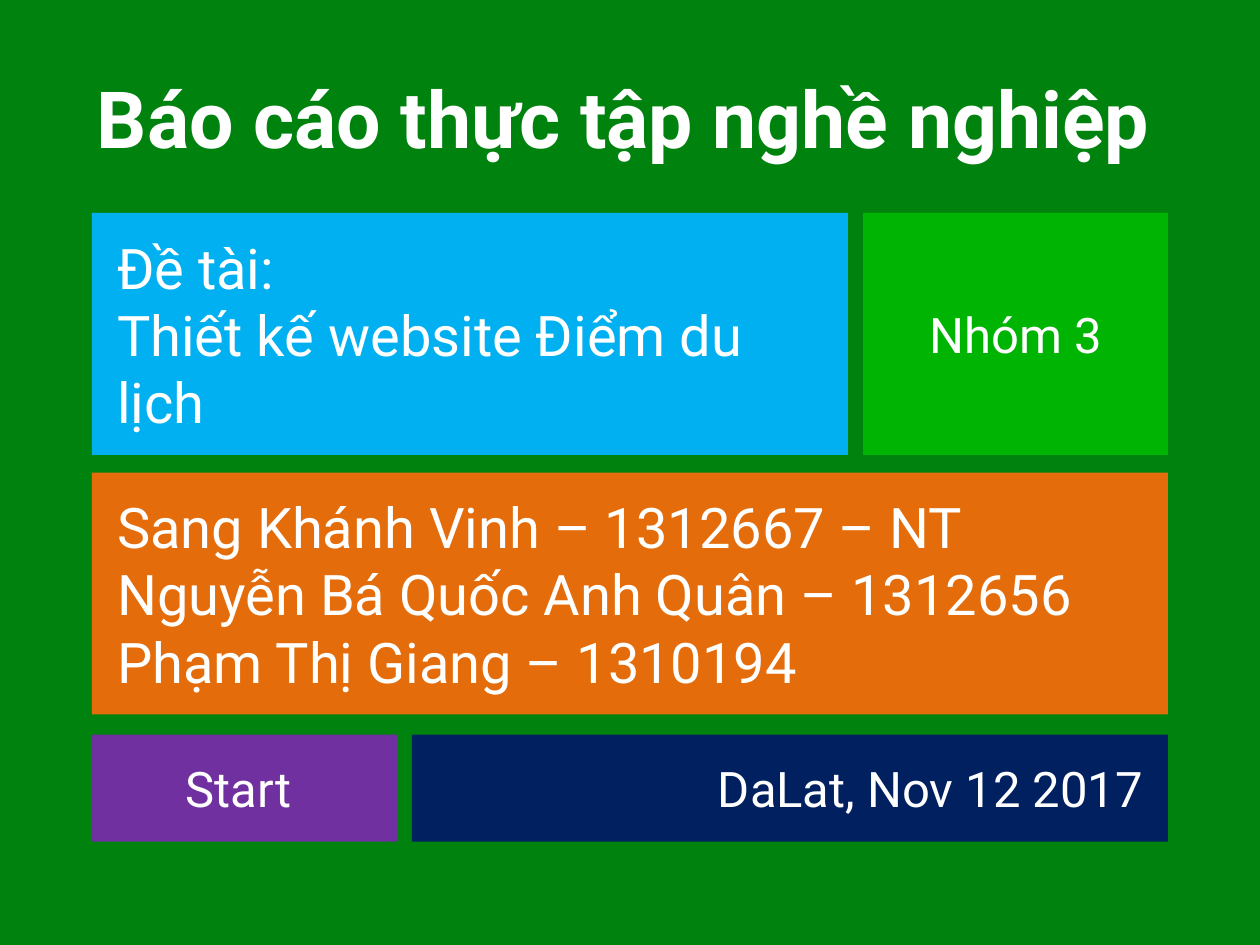
import pptx
import pptx.util
import pptx.dml.color
import pptx.enum.shapes
import pptx.enum.text

Inches = pptx.util.Inches
RGBColor = pptx.dml.color.RGBColor
Align = pptx.enum.text.PP_ALIGN

FONT = "Roboto"
WHITE = RGBColor(0xFF, 0xFF, 0xFF)
DARK_GREEN = RGBColor(0x00, 0x82, 0x0F)
GREEN = RGBColor(0x00, 0xB4, 0x04)
BLUE = RGBColor(0x00, 0xB0, 0xF0)
ORANGE = RGBColor(0xE4, 0x6C, 0x0A)
PURPLE = RGBColor(0x70, 0x30, 0xA0)
NAVY = RGBColor(0x00, 0x20, 0x60)

# Tile grid in inches: a wide and a narrow column, in either order
LEFT, GAP = 0.73, 0.12
WIDE, NARROW = 6, 2.42
FULL = WIDE + GAP + NARROW
ROWS = [(1.69, 1.92), (3.75, 1.92), (5.83, 0.85)]  # top, height


def write_text(s, lines, size=28, bold=False, align=Align.LEFT, inset=0.2):
    """Fill a shape with white text, one paragraph per line."""
    tf = s.text_frame
    tf.word_wrap = True
    tf.vertical_anchor = pptx.enum.text.MSO_ANCHOR.MIDDLE
    tf.margin_left = tf.margin_right = Inches(inset)
    tf.margin_top = tf.margin_bottom = Inches(inset)
    for i, line in enumerate(lines):
        p = tf.paragraphs[0] if i == 0 else tf.add_paragraph()
        p.alignment = align
        r = p.add_run()
        r.text = line
        r.font.name = FONT
        r.font.size = pptx.util.Pt(size)
        r.font.bold = bold
        r.font.color.rgb = WHITE


def add_title(slide, text):
    s = slide.shapes.add_textbox(Inches(0.67), Inches(0.3), Inches(8.67), Inches(1.25))
    write_text(s, [text], size=45, bold=True, inset=0.1)


def add_tile(slide, row, x, width, color, lines, **text_format):
    """Add a coloured tile in a grid row, x inches from the grid's left edge."""
    top, height = ROWS[row]
    s = slide.shapes.add_shape(
        pptx.enum.shapes.MSO_SHAPE.RECTANGLE,
        Inches(LEFT + x), Inches(top), Inches(width), Inches(height))
    s.shadow.inherit = False
    s.fill.solid()
    s.fill.fore_color.rgb = color
    s.line.fill.background()
    write_text(s, lines, **text_format)


def main():
    prs = pptx.Presentation()
    prs.slide_width, prs.slide_height = Inches(10), Inches(7.5)
    slide = prs.slides.add_slide(prs.slide_layouts[6])
    slide.background.fill.solid()
    slide.background.fill.fore_color.rgb = DARK_GREEN

    add_title(slide, "Báo cáo thực tập nghề nghiệp")

    # Topic and group
    add_tile(slide, 0, 0, WIDE, BLUE,
             ["Đề tài: ", "Thiết kế website Điểm du lịch"], size=32)
    add_tile(slide, 0, WIDE + GAP, NARROW, GREEN, ["Nhóm 3"], align=Align.CENTER)

    # Members
    add_tile(slide, 1, 0, FULL, ORANGE,
             ["Sang Khánh Vinh – 1312667 – NT",
              "Nguyễn Bá Quốc Anh Quân – 1312656",
              "Phạm Thị Giang – 1310194"], size=32)

    # Start button and date
    add_tile(slide, 2, 0, NARROW, PURPLE, ["Start "], align=Align.CENTER)
    add_tile(slide, 2, NARROW + GAP, WIDE, NAVY, ["DaLat, Nov 12 2017"],
             align=Align.RIGHT)

    prs.save("out.pptx")


main()
